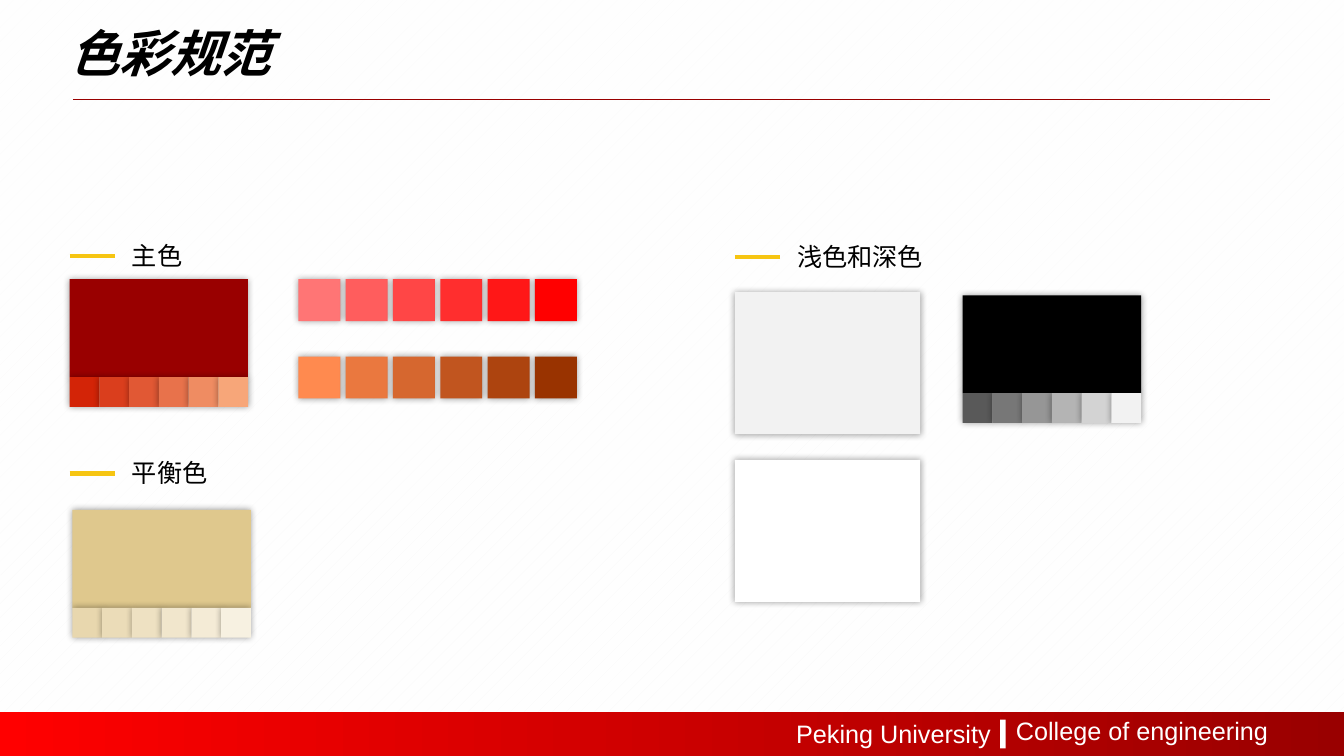
from dataclasses import dataclass

from lxml.etree import SubElement
from pptx import Presentation
from pptx.dml.color import RGBColor
from pptx.enum.dml import MSO_PATTERN
from pptx.enum.shapes import MSO_CONNECTOR, MSO_SHAPE
from pptx.enum.text import MSO_ANCHOR, MSO_AUTO_SIZE, PP_ALIGN
from pptx.oxml.ns import qn
from pptx.shapes.autoshape import Shape
from pptx.slide import Slide
from pptx.util import Pt

WHITE = RGBColor(0xFF, 0xFF, 0xFF)
BLACK = RGBColor(0x00, 0x00, 0x00)
PAPER = RGBColor(0xE7, 0xE6, 0xE6)
PALE = RGBColor(0xF2, 0xF2, 0xF2)
GREY = RGBColor(0x59, 0x59, 0x59)
MAROON = RGBColor(0x99, 0x00, 0x00)
RED = RGBColor(0xFF, 0x00, 0x00)
PINK = RGBColor(0xFF, 0x75, 0x75)
BRICK = RGBColor(0xD3, 0x24, 0x07)
PEACH = RGBColor(0xF7, 0xA6, 0x79)
ORANGE = RGBColor(0xFF, 0x8A, 0x4F)
BROWN = RGBColor(0x99, 0x33, 0x00)
SAND = RGBColor(0xDF, 0xC8, 0x8D)
WHEAT = RGBColor(0xE8, 0xD7, 0xAE)
CREAM = RGBColor(0xF7, 0xF1, 0xE1)
YELLOW = RGBColor(0xF6, 0xC5, 0x12)

LATIN = "Arial"
HAN = "Noto Sans CJK SC"
TILES = 6


@dataclass
class Label:
    text: str
    x: float
    y: float
    width: float
    face: str
    dash: float


@dataclass
class Card:
    x: float
    y: float
    width: float
    height: float
    color: RGBColor


@dataclass
class Strip:
    x: float
    y: float
    side: float
    step: float
    first: RGBColor
    last: RGBColor


LABELS = [
    Label("主色", 87.1, 167.9, 51, HAN, 49.7),
    Label("浅色和深色", 562.3, 168.8, 105, LATIN, 524.9),
    Label("平衡色", 87.1, 323.2, 69, LATIN, 49.7),
]
CARDS = [
    Card(49.7, 199.4, 127.5, 70, MAROON),
    Card(524.9, 208.6, 132.5, 101.5, PALE),
    Card(524.9, 328.5, 132.5, 101.5, WHITE),
    Card(687.6, 210.9, 127.5, 70, BLACK),
    Card(51.8, 364.2, 127.5, 70, SAND),
]
STRIPS = [
    Strip(49.7, 269.4, 21.25, 21.25, BRICK, PEACH),
    Strip(687.6, 280.9, 21.25, 21.25, GREY, PALE),
    Strip(51.8, 434.2, 21.25, 21.25, WHEAT, CREAM),
    Strip(213.1, 199.4, 30, 33.8, PINK, RED),
    Strip(213.1, 254.7, 30, 33.8, ORANGE, BROWN),
]


def write(box: Shape, text: str, *, face: str = LATIN, size: float = 18,
          color: RGBColor = BLACK, slant: bool = False, wrap: bool = True) -> None:
    frame = box.text_frame
    frame.word_wrap = wrap
    frame.auto_size = MSO_AUTO_SIZE.SHAPE_TO_FIT_TEXT
    frame.vertical_anchor = MSO_ANCHOR.TOP
    para = frame.paragraphs[0]
    para.alignment = PP_ALIGN.LEFT
    run = para.add_run()
    run.text = text
    font = run.font
    font.size = Pt(size)
    font.bold = font.italic = slant
    font.color.rgb = color
    font.name = face
    SubElement(run._r.get_or_add_rPr(), qn("a:ea"), typeface=HAN)


def add_text(slide: Slide, x: float, y: float, width: float) -> Shape:
    return slide.shapes.add_textbox(Pt(x), Pt(y), Pt(width), Pt(29))


def add_rect(slide: Slide, x: float, y: float, width: float, height: float) -> Shape:
    rect = slide.shapes.add_shape(
        MSO_SHAPE.RECTANGLE, Pt(x), Pt(y), Pt(width), Pt(height))
    rect.shadow.inherit = False
    rect.line.fill.background()
    return rect


def paint(rect: Shape, color: RGBColor) -> None:
    rect.fill.solid()
    rect.fill.fore_color.rgb = color


def blend(rect: Shape, first: RGBColor, last: RGBColor, angle: float) -> None:
    rect.fill.gradient()
    rect.fill.gradient_angle = angle
    for stop, color in zip(rect.fill.gradient_stops, (first, last)):
        stop.color.rgb = color


def add_card(slide: Slide, card: Card) -> None:
    rect = add_rect(slide, card.x, card.y, card.width, card.height)
    paint(rect, card.color)
    effects = rect._element.spPr.find(qn("a:effectLst"))
    glow = SubElement(effects, qn("a:outerShdw"), blurRad=str(Pt(5)),
                      dist="0", dir="0", algn="ctr", rotWithShape="0")
    tint = SubElement(glow, qn("a:srgbClr"), val=str(BLACK))
    SubElement(tint, qn("a:alpha"), val="40000")


def add_strip(slide: Slide, strip: Strip) -> None:
    span = TILES - 1
    for i in range(TILES):
        color = RGBColor(*((a * (span - i) + b * i) // span
                           for a, b in zip(strip.first, strip.last)))
        x = strip.x + i * strip.step
        add_card(slide, Card(x, strip.y, strip.side, strip.side, color))


def add_line(slide: Slide, x: float, y: float, width: float,
             color: RGBColor, weight: float) -> None:
    line = slide.shapes.add_connector(
        MSO_CONNECTOR.STRAIGHT, Pt(x), Pt(y), Pt(x + width), Pt(y))
    line.line.color.rgb = color
    line.line.width = Pt(weight)
    SubElement(line._element.spPr, qn("a:effectLst"))


def add_frame(slide: Slide) -> None:
    back = slide.background.fill
    back.patterned()
    back.pattern = MSO_PATTERN.PERCENT_5
    back.fore_color.rgb = PAPER
    back.back_color.rgb = WHITE

    veil = add_rect(slide, 0, 0, 960, 540)
    blend(veil, WHITE, WHITE, 270)
    stops = veil._element.spPr.iter(qn("a:srgbClr"))
    for tint, alpha in zip(list(stops), ("91000", "75000")):
        SubElement(tint, qn("a:alpha"), val=alpha)

    add_line(slide, 52, 70.8, 855.2, MAROON, 0.5)
    band = add_rect(slide, 0, 508.3, 960, 32)
    blend(band, RED, MAROON, 0)
    write(add_text(slide, 561.6, 509.8, 155), "Peking University", color=WHITE)
    paint(add_rect(slide, 714.4, 514, 4, 20.6), WHITE)
    write(add_text(slide, 718.6, 507.6, 205), "College of engineering", color=WHITE)


def add_title(slide: Slide) -> None:
    title = slide.shapes.title
    slide.shapes._spTree.append(title._element)
    title.left, title.top = Pt(42.5), Pt(12.2)
    title.width, title.height = Pt(260.6), Pt(51)
    write(title, "色彩规范", face=HAN, size=36, slant=True)


def main() -> None:
    deck = Presentation()
    deck.slide_width, deck.slide_height = Pt(960), Pt(540)
    slide = deck.slides.add_slide(deck.slide_layouts[5])
    add_frame(slide)
    add_title(slide)
    for label in LABELS:
        add_line(slide, label.dash, label.y + 15, 32.4, YELLOW, 3)
        box = add_text(slide, label.x, label.y, label.width)
        write(box, label.text, face=label.face, wrap=False)
    for card in CARDS:
        add_card(slide, card)
    for strip in STRIPS:
        add_strip(slide, strip)
    deck.save("out.pptx")


if __name__ == "__main__":
    main()
